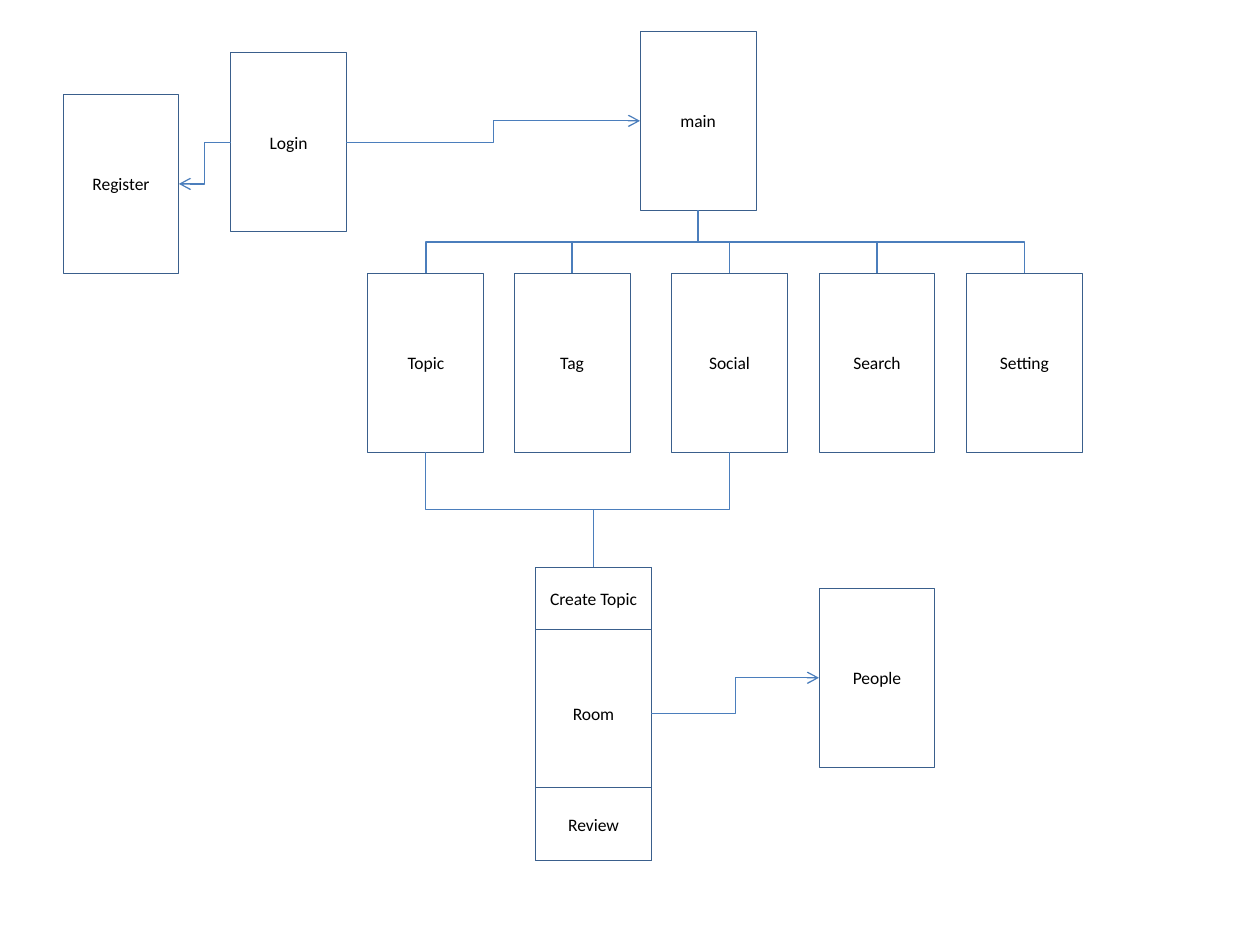
from lxml import etree
from pptx import Presentation
from pptx.dml.color import RGBColor
from pptx.enum.shapes import MSO_CONNECTOR, MSO_SHAPE
from pptx.enum.text import MSO_ANCHOR, PP_ALIGN
from pptx.oxml.ns import qn
from pptx.util import Inches, Pt

BOX_WIDTH, BOX_HEIGHT = 0.92, 1.42
TOP, LEFT, BOTTOM, RIGHT = range(4)  # connection sites of a rectangle


def paint(color_format, hex_color):
    """Set a colour from a hex string."""
    color_format.rgb = RGBColor.from_string(hex_color)


def add_box(slide, label, left, top, height=BOX_HEIGHT):
    """Add a white outlined screen box with a centred label."""
    box = slide.shapes.add_shape(MSO_SHAPE.RECTANGLE, Inches(left), Inches(top),
                                 Inches(BOX_WIDTH), Inches(height))
    box.shadow.inherit = False
    box.fill.solid()
    paint(box.fill.fore_color, "FFFFFF")
    paint(box.line.color, "3A5F8C")
    box.line.width = Pt(0.5)
    frame = box.text_frame
    frame.word_wrap = True
    frame.margin_left = frame.margin_right = Inches(0.05)
    frame.vertical_anchor = MSO_ANCHOR.MIDDLE
    paragraph = frame.paragraphs[0]
    paragraph.alignment = PP_ALIGN.CENTER
    run = paragraph.add_run()
    run.text = label
    run.font.name = "Calibri"
    run.font.size = Pt(10)
    paint(run.font.color, "000000")
    return box


def turn_downward(link):
    """Rotate an elbow so that it leaves and arrives vertically."""
    goes_right = link.end_x > link.begin_x
    center_x = (link.begin_x + link.end_x) // 2
    center_y = (link.begin_y + link.end_y) // 2
    length, span = link.height, link.width
    link.left, link.top = center_x - length // 2, center_y - span // 2
    link.width, link.height = length, span
    xfrm = link._element.spPr.find(qn("a:xfrm"))
    xfrm.set("rot", "16200000" if goes_right else "5400000")
    xfrm.set("flipH", "1" if goes_right else "0")
    xfrm.set("flipV", "0")


def add_link(slide, source, source_site, target, target_site, arrow=False):
    """Join two boxes with an elbow connector."""
    link = slide.shapes.add_connector(MSO_CONNECTOR.ELBOW, 0, 0, 0, 0)
    link.begin_connect(source, source_site)
    link.end_connect(target, target_site)
    if source_site == BOTTOM:
        turn_downward(link)
    paint(link.line.color, "4B7EBC")
    link.line.width = Pt(0.75)
    if arrow:
        line = link.line._get_or_add_ln()
        etree.SubElement(line, qn("a:tailEnd"), type="arrow")
    etree.SubElement(link._element.spPr, qn("a:effectLst"))


def main():
    """Build the screen flow slide."""
    deck = Presentation()
    deck.slide_width, deck.slide_height = Inches(10), Inches(7.5)
    slide = deck.slides.add_slide(deck.slide_layouts[6])

    login = add_box(slide, "Login", 1.83, 0.42)
    home = add_box(slide, "main", 5.08, 0.25)
    register = add_box(slide, "Register", 0.5, 0.75)
    tab_lefts = {"Topic": 2.92, "Tag": 4.08, "Social": 5.33,
                 "Search": 6.5, "Setting": 7.67}
    tabs = {label: add_box(slide, label, left, 2.17)
            for label, left in tab_lefts.items()}
    room = add_box(slide, "Room", 4.25, 4.5, 2.33)
    create_topic = add_box(slide, "Create Topic", 4.25, 4.5, 0.5)
    add_box(slide, "Review", 4.25, 6.25, 0.58)
    people = add_box(slide, "People", 6.5, 4.67)

    add_link(slide, login, RIGHT, home, LEFT, arrow=True)
    add_link(slide, login, LEFT, register, RIGHT, arrow=True)
    add_link(slide, room, RIGHT, people, LEFT, arrow=True)
    for tab in tabs.values():
        add_link(slide, home, BOTTOM, tab, TOP)
    for label in ("Topic", "Social"):
        add_link(slide, tabs[label], BOTTOM, create_topic, TOP)

    deck.save("out.pptx")


main()
